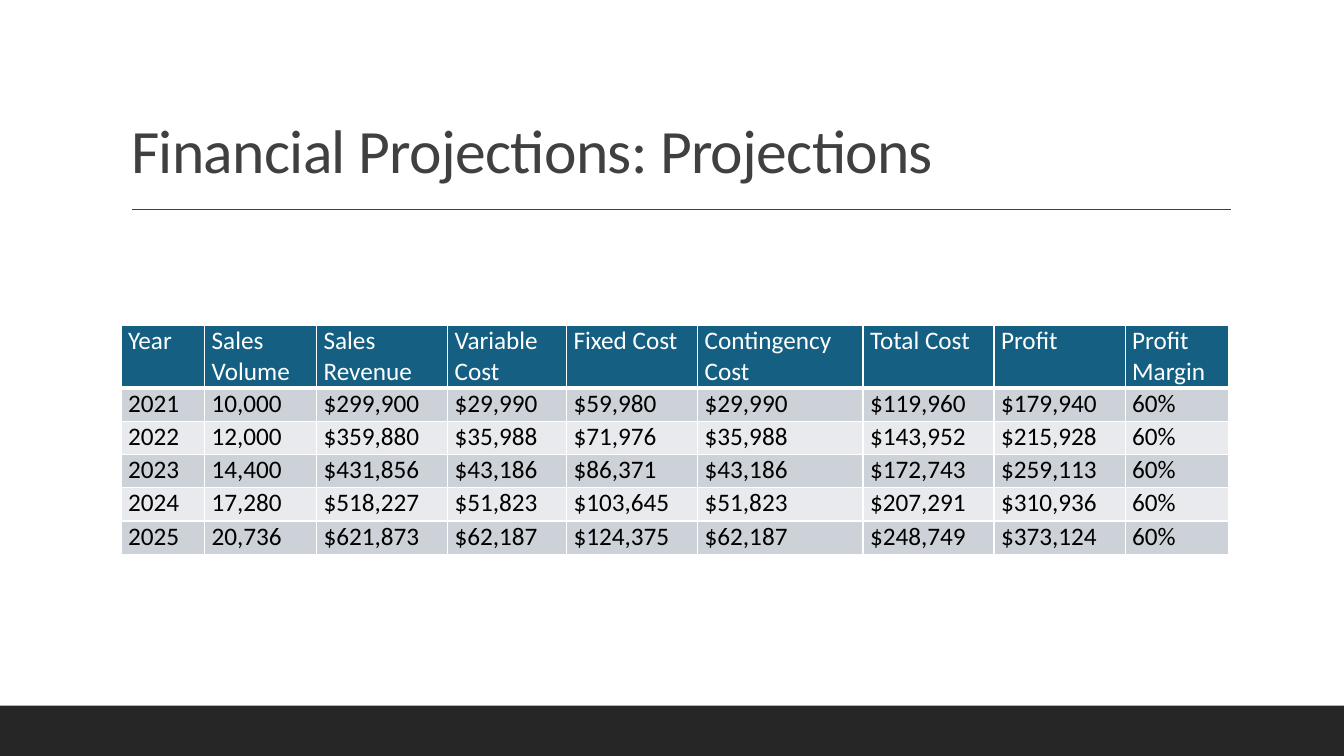
from lxml import etree
from pptx import Presentation
from pptx.dml.color import RGBColor
from pptx.enum.shapes import MSO_CONNECTOR, MSO_SHAPE
from pptx.enum.text import MSO_ANCHOR, MSO_AUTO_SIZE, PP_ALIGN
from pptx.oxml.ns import qn
from pptx.util import Inches, Pt

STRAIGHT = MSO_CONNECTOR.STRAIGHT
RECTANGLE = MSO_SHAPE.RECTANGLE
BOTTOM, TOP = MSO_ANCHOR.BOTTOM, MSO_ANCHOR.TOP
LEFT = PP_ALIGN.LEFT
NO_AUTOFIT = MSO_AUTO_SIZE.NONE

FONT = "Calibri"
COLORS = {
    "white": "FFFFFF",
    "black": "000000",
    "title": "404040",
    "footer": "262626",
    "header": "156082",
    "odd_row": "CCD2D8",
    "even_row": "E8EAED",
}
PROJECTIONS = [
    ["Year", "Sales Volume", "Sales Revenue", "Variable Cost", "Fixed Cost",
     "Contingency Cost", "Total Cost", "Profit", "Profit Margin"],
    ["2021", "10,000", "$299,900", "$29,990", "$59,980", "$29,990", "$119,960", "$179,940", "60%"],
    ["2022", "12,000", "$359,880", "$35,988", "$71,976", "$35,988", "$143,952", "$215,928", "60%"],
    ["2023", "14,400", "$431,856", "$43,186", "$86,371", "$43,186", "$172,743", "$259,113", "60%"],
    ["2024", "17,280", "$518,227", "$51,823", "$103,645", "$51,823", "$207,291", "$310,936", "60%"],
    ["2025", "20,736", "$621,873", "$62,187", "$124,375", "$62,187", "$248,749", "$373,124", "60%"],
]
COLUMN_WIDTHS = [0.83, 1.11, 1.3, 1.18, 1.3, 1.64, 1.3, 1.3, 1.03]
HEADER_HEIGHT, ROW_HEIGHT = 0.62, 0.33


def color(name):
    return RGBColor.from_string(COLORS[name])


def add_span(para, text, size, color_name):
    span = para.add_run()
    span.text = text
    span.font.name = FONT
    span.font.size = Pt(size)
    span.font.bold = False
    span.font.color.rgb = color(color_name)
    return span


deck = Presentation()
deck.slide_width, deck.slide_height = Inches(13.33), Inches(7.5)
page = deck.slides.add_slide(deck.slide_layouts[5])
page.background.fill.solid()
page.background.fill.fore_color.rgb = color("white")

# Title
title = page.shapes.title
title.left, title.top = Inches(1.2), Inches(0.31)
title.width, title.height = Inches(11), Inches(1.59)
title_frame = title.text_frame
title_frame.word_wrap = True
title_frame.auto_size = NO_AUTOFIT
title_frame.vertical_anchor = BOTTOM
para = title_frame.paragraphs[0]
para.alignment = LEFT
para.line_spacing = 0.9
span = add_span(para, "Financial Projections: Projections", 44, "title")
span.font._element.set("spc", "-50")

# Rule under the title
rule = page.shapes.add_connector(STRAIGHT, Inches(1.31), Inches(2.08), Inches(12.21), Inches(2.08))
rule.line.color.rgb = color("title")
rule.line.width = Pt(1)
etree.SubElement(rule._element.spPr, qn("a:effectLst"))

# Footer bar
footer = page.shapes.add_shape(RECTANGLE, 0, Inches(7), deck.slide_width, Inches(0.5))
footer.shadow.inherit = False
footer.fill.solid()
footer.fill.fore_color.rgb = color("footer")
footer.line.fill.background()

# Projections table
row_heights = [HEADER_HEIGHT] + [ROW_HEIGHT] * (len(PROJECTIONS) - 1)
table = page.shapes.add_table(
    len(PROJECTIONS), len(COLUMN_WIDTHS), Inches(1.2), Inches(3.23),
    Inches(sum(COLUMN_WIDTHS)), Inches(sum(row_heights))).table
for column, width in zip(table.columns, COLUMN_WIDTHS):
    column.width = Inches(width)
for row, height in zip(table.rows, row_heights):
    row.height = Inches(height)

for row_index, values in enumerate(PROJECTIONS):
    if row_index == 0:
        fill_name, text_name = "header", "white"
    else:
        fill_name, text_name = ("odd_row" if row_index % 2 else "even_row"), "black"
    for column_index, value in enumerate(values):
        cell = table.cell(row_index, column_index)
        cell.margin_left = cell.margin_right = Inches(0.07)
        cell.margin_top = cell.margin_bottom = 0
        cell.vertical_anchor = TOP
        add_span(cell.text_frame.paragraphs[0], value, 18, text_name)

        # Borders come before the fill in the cell properties
        properties = cell._tc.get_or_add_tcPr()
        for side in ("L", "R", "T", "B"):
            under_header = (row_index, side) in ((0, "B"), (1, "T"))
            border = etree.SubElement(properties, qn(f"a:ln{side}"))
            border.set("w", str(Pt(3 if under_header else 1)))
            border_fill = etree.SubElement(border, qn("a:solidFill"))
            etree.SubElement(border_fill, qn("a:srgbClr")).set("val", COLORS["white"])
        cell.fill.solid()
        cell.fill.fore_color.rgb = color(fill_name)

deck.save("out.pptx")
